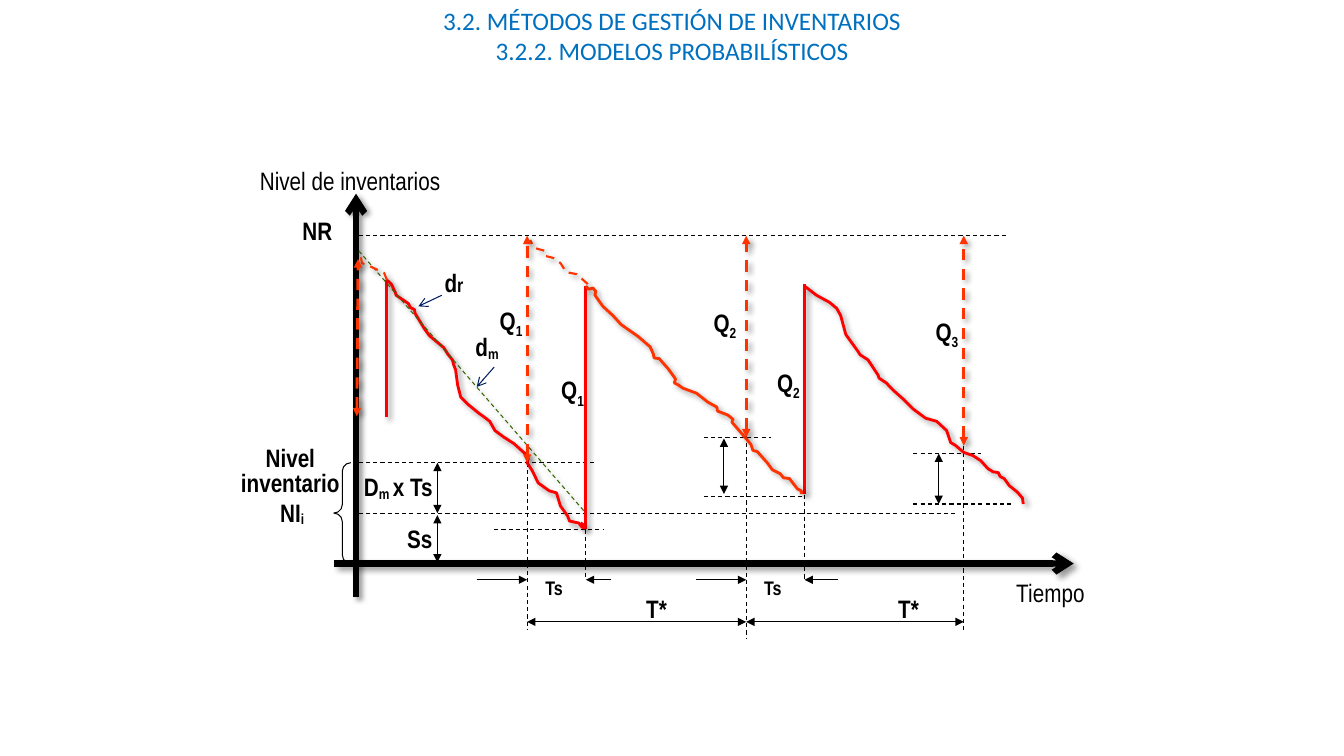
from dataclasses import dataclass

from lxml import etree
from pptx import Presentation
from pptx import util as u
from pptx.dml import color as dml_color
from pptx.enum import dml, shapes, text
from pptx.oxml import ns


@dataclass(frozen=True)
class Stroke:
    color: str
    width: float = 0.75
    dashed: bool = False
    head: str = ""
    tail: str = ""
    shadow: bool = False


@dataclass(frozen=True)
class Theme:
    title_font: str = "Calibri"
    label_font: str = "Arial Narrow"
    title_color: str = "0070C0"
    label_color: str = "000000"
    size: int = 18
    small: int = 14
    thin: Stroke = Stroke("000000")
    guide: Stroke = Stroke("000000", dashed=True)
    pointer: Stroke = Stroke("000000", tail="triangle")
    span: Stroke = Stroke("000000", head="triangle", tail="triangle")
    axis: Stroke = Stroke("000000", 4.5, tail="arrow", shadow=True)
    stock: Stroke = Stroke("FF0000", 2, shadow=True)
    second_stock: Stroke = Stroke("FF3300", 2, shadow=True)
    projected: Stroke = Stroke("FF3300", 1.5, dashed=True, shadow=True)
    order: Stroke = Stroke("FF3300", 2, True, "triangle", "triangle", True)
    mean: Stroke = Stroke("336600", dashed=True, shadow=True)
    callout: Stroke = Stroke("002060", tail="arrow")


def length(inches):
    return u.Cm(round(inches * 2.54, 2))


class InventorySlide:
    def __init__(self, presentation, theme):
        self.theme = theme
        self.slide = presentation.slides.add_slide(presentation.slide_layouts[6])

    def apply_stroke(self, shape, stroke):
        shape.line.color.rgb = dml_color.RGBColor.from_string(stroke.color)
        shape.line.width = u.Pt(stroke.width)
        if stroke.dashed:
            shape.line.dash_style = dml.MSO_LINE.DASH
        properties = shape._element.spPr
        outline = properties.find(ns.qn("a:ln"))
        for tag, kind in (("a:headEnd", stroke.head), ("a:tailEnd", stroke.tail)):
            if kind:
                etree.SubElement(outline, ns.qn(tag), type=kind)
        effects = etree.SubElement(properties, ns.qn("a:effectLst"))
        if stroke.shadow:
            shadow = etree.SubElement(
                effects, ns.qn("a:outerShdw"), blurRad=str(u.Pt(4)),
                dist=str(u.Pt(3)), dir="2700000", algn="tl", rotWithShape="0")
            black = etree.SubElement(shadow, ns.qn("a:srgbClr"), val="000000")
            etree.SubElement(black, ns.qn("a:alpha"), val="40000")

    def line(self, x1, y1, x2, y2, stroke):
        connector = self.slide.shapes.add_connector(
            shapes.MSO_CONNECTOR.STRAIGHT, *map(length, (x1, y1, x2, y2)))
        self.apply_stroke(connector, stroke)

    def curve(self, points, stroke):
        start, *rest = [(length(x), length(y)) for x, y in points]
        builder = self.slide.shapes.build_freeform(*start)
        builder.add_line_segments(rest, close=False)
        shape = builder.convert_to_shape()
        shape.fill.background()
        self.apply_stroke(shape, stroke)

    def brace(self, left, top, width, height):
        shape = self.slide.shapes.add_shape(
            shapes.MSO_SHAPE.LEFT_BRACE, *map(length, (left, top, width, height)))
        shape.adjustments[0] = 0.5
        shape.fill.background()
        self.apply_stroke(shape, self.theme.thin)

    def label(self, left, top, width, runs, height=0.4, size=None, bold=True,
              centred=False, spacing=None, font=None, color=None):
        box = self.slide.shapes.add_textbox(*map(length, (left, top, width, height)))
        frame = box.text_frame
        frame.word_wrap = True
        frame.auto_size = text.MSO_AUTO_SIZE.SHAPE_TO_FIT_TEXT
        paragraph = frame.paragraphs[0]
        if centred:
            paragraph.alignment = text.PP_ALIGN.CENTER
        if spacing:
            paragraph.line_spacing = spacing
        for words, baseline, *run_size in runs:
            run = paragraph.add_run()
            run.text = words
            run.font.name = font or self.theme.label_font
            run.font.size = u.Pt(run_size[0] if run_size else size or self.theme.size)
            run.font.bold = bold
            run.font.color.rgb = dml_color.RGBColor.from_string(
                color or self.theme.label_color)
            if baseline:
                run._r.get_or_add_rPr().set("baseline", str(baseline * 1000))

    def title(self, top, words):
        self.label(0, top, 13.33, [(words, 0)], bold=False, centred=True,
                   font=self.theme.title_font, color=self.theme.title_color)


REVIEWS = (5.23, 7.4, 9.56)
ARRIVALS = (5.81, 7.98)
TARGET, REORDER, SAFETY, AXIS = 2.34, 4.59, 5.09, 5.59

FIRST_CYCLE = [
    (3.83, 2.77), (3.88, 2.82), (3.92, 2.9), (3.93, 2.93), (4.05, 3.01), (4.07, 3.05),
    (4.11, 3.07), (4.12, 3.11), (4.21, 3.26), (4.26, 3.33), (4.4, 3.45), (4.44, 3.51),
    (4.49, 3.57), (4.5, 3.62), (4.52, 3.67), (4.54, 3.82), (4.57, 3.94), (4.64, 4.01),
    (4.75, 4.1), (4.82, 4.15), (4.86, 4.18), (4.91, 4.27), (5, 4.34), (5.1, 4.4),
    (5.22, 4.51), (5.24, 4.55), (5.23, 4.59), (5.28, 4.67), (5.34, 4.79), (5.45, 4.87),
    (5.52, 4.89), (5.56, 5.02), (5.63, 5.12), (5.65, 5.17), (5.74, 5.19), (5.77, 5.23),
    (5.8, 5.24), (5.79, 5.21), (5.76, 5.19)]
SECOND_CYCLE = [
    (5.81, 2.84), (5.84, 2.87), (5.88, 2.86), (5.91, 2.89), (5.9, 2.93), (5.98, 3.04),
    (6.08, 3.13), (6.16, 3.22), (6.33, 3.34), (6.45, 3.44), (6.48, 3.51), (6.49, 3.55),
    (6.54, 3.56), (6.63, 3.66), (6.7, 3.76), (6.69, 3.8), (6.73, 3.82), (6.77, 3.85),
    (6.91, 3.9), (7.02, 3.99), (7.11, 4.04), (7.12, 4.08), (7.22, 4.12), (7.27, 4.16),
    (7.26, 4.19), (7.34, 4.28), (7.45, 4.41), (7.47, 4.47), (7.51, 4.48), (7.61, 4.59),
    (7.66, 4.66), (7.74, 4.7), (7.77, 4.74), (7.83, 4.75), (7.91, 4.85), (7.95, 4.87),
    (7.95, 4.9)]
THIRD_CYCLE = [
    (7.98, 2.84), (8.1, 2.93), (8.23, 3), (8.3, 3.06), (8.34, 3.13), (8.39, 3.32),
    (8.51, 3.49), (8.53, 3.52), (8.61, 3.57), (8.71, 3.72), (8.72, 3.75), (8.79, 3.8),
    (8.86, 3.87), (8.96, 3.96), (9.06, 4.06), (9.18, 4.15), (9.29, 4.18), (9.39, 4.27),
    (9.43, 4.39), (9.48, 4.42), (9.56, 4.49), (9.65, 4.52), (9.73, 4.57), (9.8, 4.65),
    (9.85, 4.68), (9.9, 4.69), (9.92, 4.73), (9.96, 4.75), (10.01, 4.82), (10.09, 4.88),
    (10.14, 4.94), (10.15, 5)]
SECOND_PROJECTION = [
    (5.83, 2.82), (5.72, 2.72), (5.66, 2.71), (5.62, 2.7), (5.56, 2.61), (5.49, 2.56),
    (5.41, 2.54), (5.4, 2.49), (5.33, 2.47), (5.29, 2.45), (5.26, 2.38)]
FIRST_PROJECTION = [(3.84, 2.78), (3.81, 2.71), (3.67, 2.64), (3.59, 2.61), (3.58, 2.54)]


def main():
    presentation = Presentation()
    presentation.slide_width, presentation.slide_height = length(13.33), length(7.5)
    theme = Theme()
    page = InventorySlide(presentation, theme)

    page.title(0, "3.2. MÉTODOS DE GESTIÓN DE INVENTARIOS")
    page.title(0.3, "3.2.2. MODELOS PROBABILÍSTICOS")

    for left, right, level in (
            (3.56, 9.98, TARGET), (3.56, 5.9, REORDER), (3.56, 9.48, SAFETY),
            (4.9, 5.98, 5.25), (6.98, 7.65, 4.34), (6.98, 7.98, 4.92),
            (9.06, 9.73, 4.5), (9.06, 10.06, 5)):
        page.line(left, level, right, level, theme.guide)
    for x, top, bottom in zip(REVIEWS + ARRIVALS, (REORDER, 4.25, 4.42, 5.25, 4.84),
                              (6.25, 6.34, 6.25, 5.75, 5.75)):
        page.line(x, top, x, bottom, theme.guide)

    page.line(3.53, 5.92, 3.53, 1.92, theme.axis)
    page.line(3.31, AXIS, 10.65, AXIS, theme.axis)
    page.brace(3.31, REORDER, 0.17, AXIS - REORDER)

    for x, bottom, top in ((3.83, 4.14, 2.78), (ARRIVALS[0], 5.25, 2.84),
                           (ARRIVALS[1], 4.9, 2.82)):
        page.line(x, bottom, x, top, theme.stock)
    page.curve(FIRST_CYCLE, theme.stock)
    page.curve(THIRD_CYCLE, theme.stock)
    page.line(3.56, 2.49, ARRIVALS[0], SAFETY, theme.mean)
    page.curve(SECOND_CYCLE, theme.second_stock)
    page.curve(SECOND_PROJECTION, theme.projected)
    page.curve(FIRST_PROJECTION, theme.projected)
    page.line(3.54, 4.13, 3.55, 2.57, theme.order)
    for x, level in zip(REVIEWS, (REORDER, 4.34, 4.42)):
        page.line(x, level, x, TARGET, theme.order)

    for x, top, bottom in ((4.34, REORDER, SAFETY), (4.34, 5.11, 5.58),
                           (7.18, 4.35, 4.9), (9.31, 4.5, 5)):
        page.line(x, top, x, bottom, theme.span)
    for start, end, left in zip(REVIEWS, REVIEWS[1:], (6.31, 8.81)):
        page.line(start, 6.17, end, 6.17, theme.span)
        page.label(left, 5.84, 0.42, [("T*", 0)])
    for review, arrival, gap, left in zip(REVIEWS, ARRIVALS, (0.25, 0.33), (5.31, 7.48)):
        page.line(review - 0.5, 5.75, review, 5.75, theme.pointer)
        page.line(arrival + gap, 5.75, arrival, 5.75, theme.pointer)
        page.label(left, 5.67, 0.5, [("Ts", 0)], height=0.33, size=theme.small)
    page.line(4.38, 2.93, 4.15, 3.04, theme.callout)
    page.line(4.9, 3.64, 4.73, 3.84, theme.callout)

    for left, top, width, number in ((4.86, 2.98, 0.55, "1"), (5.47, 3.67, 0.5, "1"),
                                     (6.98, 3, 0.58, "2"), (7.61, 3.59, 0.58, "2"),
                                     (9.18, 3.09, 0.58, "3")):
        page.label(left, top, width, [("Q", 0), (number, -25)])
    page.label(2.48, 1.59, 2.33, [("Nivel de inventarios", 0)], bold=False)
    page.label(9.98, 5.68, 1.17, [("Tiempo", 0)], bold=False)
    page.label(2.9, 2.09, 0.83, [("NR", 0)])
    page.label(2.24, 4.38, 1.28, [("Nivel inventario", 0)], height=0.62,
               centred=True, spacing=0.85)
    page.label(2.68, 4.88, 0.67, [("NI", 0), ("i", -10)])
    page.label(3.51, 4.63, 0.93, [("D", 0), ("m ", -10), ("x Ts", 0)])
    page.label(3.94, 5.14, 0.58, [("Ss", 0)])
    page.label(4.31, 2.6, 0.56, [("d", 0), ("r", 0, theme.small)])
    page.label(4.62, 3.24, 0.56, [("d", 0), ("m", -12)])

    presentation.save("out.pptx")


if __name__ == "__main__":
    main()
